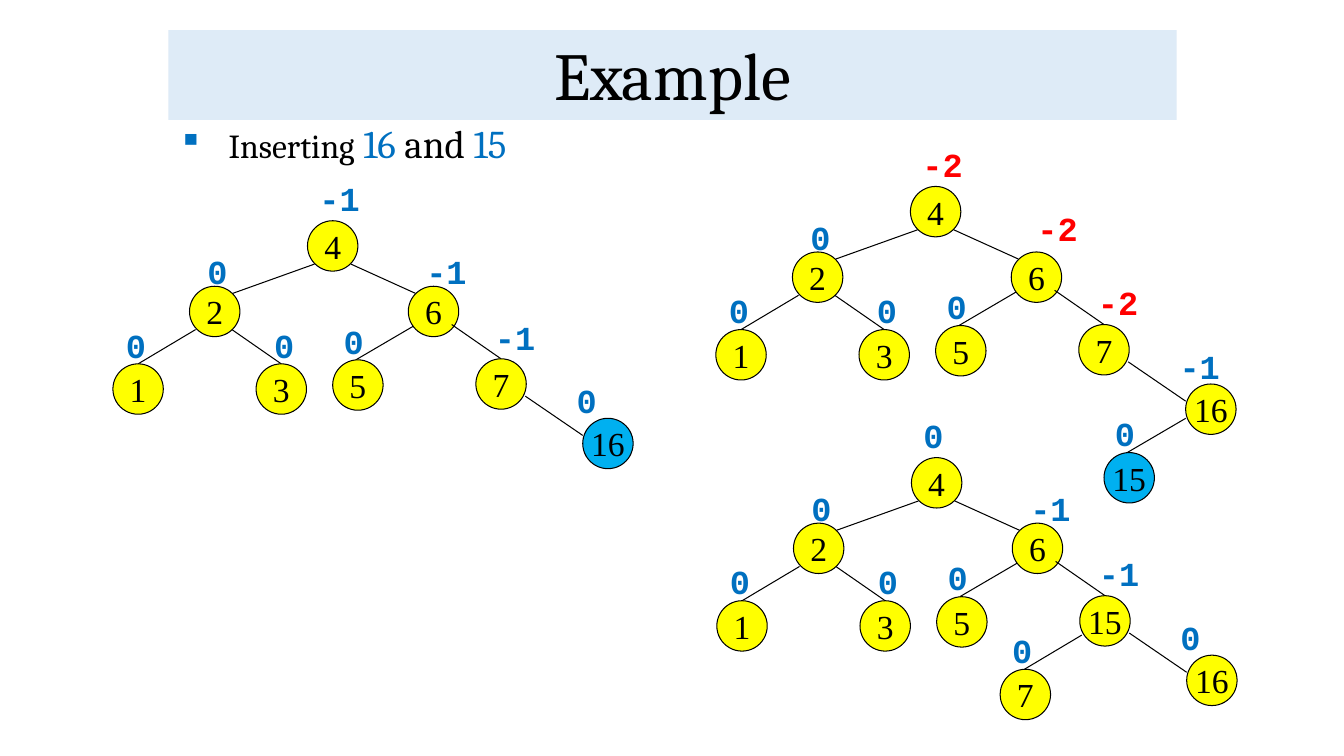
from collections import namedtuple

from lxml import etree
from pptx import Presentation
from pptx.dml.color import RGBColor
from pptx.enum import shapes, text
from pptx.oxml import ns
from pptx.util import Inches, Pt

BLACK = RGBColor(0x00, 0x00, 0x00)
YELLOW = RGBColor(0xFF, 0xFF, 0x00)
SKY = RGBColor(0x00, 0xB0, 0xF0)
BLUE = RGBColor(0x00, 0x70, 0xC0)
RED = RGBColor(0xFF, 0x00, 0x00)
PALE_BLUE = RGBColor(0xDE, 0xEB, 0xF7)

NODE_SIZE = 0.5
LABEL_HEIGHT = 0.5
LABEL_WIDTHS = {1: 0.4, 2: 0.61}

Slot = namedtuple("Slot", "node label edge")
Tree = namedtuple("Tree", "root entries")
Entry = namedtuple("Entry", "slot value balance inserted label_shift",
                   defaults=(False, (0, 0)))

# Offsets from the top left corner of each tree's root node.
SLOTS = {
    "root": Slot((0, 0), (0.02, -0.47), None),
    "left": Slot((-1.17, 0.65), (-1.09, 0.25), (0.07, 0.43, -0.74, 0.72)),
    "right": Slot((1, 0.65), (1.08, 0.25), (0.43, 0.43, 1.07, 0.72)),
    "left left": Slot((-1.93, 1.42), (-1.9, 0.98), (-1.11, 1.08, -1.68, 1.42)),
    "left right": Slot((-0.51, 1.42), (-0.43, 0.98), (-0.75, 1.08, -0.26, 1.42)),
    "right left": Slot((0.25, 1.38), (0.26, 0.94), (1.06, 1.04, 0.48, 1.38)),
    "right right": Slot((1.67, 1.37), (1.76, 0.9), (1.43, 1.03, 1.92, 1.37)),
    "outer right": Slot((2.73, 1.96), (2.57, 1.53), (2.16, 1.74, 2.73, 2.13)),
    "outer left": Slot((0.88, 2.1), (0.9, 1.66), (1.69, 1.76, 1.12, 2.1)),
    "deepest": Slot((1.92, 2.64), (1.93, 2.2), (2.73, 2.3, 2.15, 2.64)),
}

SHARED_ENTRIES = [
    Entry("left", "2", "0"),
    Entry("left left", "1", "0"),
    Entry("left right", "3", "0"),
    Entry("right left", "5", "0"),
]

TREES = [
    Tree((3.05, 2.19), [
        Entry("root", "4", "-1"),
        Entry("right", "6", "-1"),
        Entry("right right", "7", "-1"),
        Entry("outer right", "16", "0", True),
    ]),
    Tree((9.03, 1.85), [
        Entry("root", "4", "-2"),
        Entry("right", "6", "-2", label_shift=(0.08, -0.09)),
        Entry("right right", "7", "-2"),
        Entry("outer right", "16", "-1"),
        Entry("deepest", "15", "0", True),
    ]),
    Tree((9.04, 4.54), [
        Entry("root", "4", "0"),
        Entry("right", "6", "-1"),
        Entry("right right", "15", "-1"),
        Entry("outer right", "16", "0"),
        Entry("outer left", "7", "0"),
    ]),
]


def style_font(font, name, size, color, bold=False):
    font.name = name
    font.size = Pt(size)
    font.color.rgb = color
    font.bold = bold


def add_title(slide):
    shape = slide.shapes.add_shape(shapes.MSO_SHAPE.RECTANGLE, Inches(1.67),
                                   Inches(0.3), Inches(10), Inches(0.89))
    shape.shadow.inherit = False
    shape.fill.solid()
    shape.fill.fore_color.rgb = PALE_BLUE
    shape.line.fill.background()
    frame = shape.text_frame
    frame.text = "Example"
    frame.vertical_anchor = text.MSO_ANCHOR.BOTTOM
    paragraph = frame.paragraphs[0]
    paragraph.alignment = text.PP_ALIGN.CENTER
    paragraph.line_spacing = 0.9
    style_font(paragraph.runs[0].font, "Cambria", 48, BLACK)


def add_bullet(paragraph, character, color):
    properties = paragraph._p.get_or_add_pPr()
    properties.set("marL", str(Inches(0.5)))
    properties.set("indent", str(-Inches(0.5)))
    bullet_color = etree.SubElement(properties, ns.qn("a:buClr"))
    etree.SubElement(bullet_color, ns.qn("a:srgbClr")).set("val", str(color))
    etree.SubElement(properties, ns.qn("a:buChar")).set("char", character)


def add_subtitle(slide):
    box = slide.shapes.add_textbox(Inches(1.67), Inches(1.19),
                                   Inches(10), Inches(0.44))
    frame = box.text_frame
    frame.word_wrap = True
    paragraph = frame.paragraphs[0]
    add_bullet(paragraph, "▪", BLUE)
    paragraph.line_spacing = 0.9
    for words, size, color in (("Inserting", 24, BLACK), (" ", 28, BLACK),
                               ("16 ", 28, BLUE), ("and", 28, BLACK),
                               (" 15", 28, BLUE)):
        run = paragraph.add_run()
        run.text = words
        style_font(run.font, "Cambria", size, color)


def add_edge(slide, start_x, start_y, end_x, end_y):
    edge = slide.shapes.add_connector(
        shapes.MSO_CONNECTOR.STRAIGHT, Inches(start_x), Inches(start_y),
        Inches(end_x), Inches(end_y))
    edge.line.color.rgb = BLACK
    edge.line.width = Pt(0.75)
    etree.SubElement(edge._element.spPr, ns.qn("a:effectLst"))


def add_node(slide, left, top, value, color):
    shape = slide.shapes.add_shape(shapes.MSO_SHAPE.OVAL, Inches(left), Inches(top),
                                   Inches(NODE_SIZE), Inches(NODE_SIZE))
    shape.shadow.inherit = False
    shape.fill.solid()
    shape.fill.fore_color.rgb = color
    shape.line.color.rgb = BLACK
    shape.line.width = Pt(0.75)
    frame = shape.text_frame
    frame.text = value
    frame.word_wrap = False
    frame.vertical_anchor = text.MSO_ANCHOR.MIDDLE
    paragraph = frame.paragraphs[0]
    paragraph.alignment = text.PP_ALIGN.CENTER
    style_font(paragraph.runs[0].font, "Times New Roman", 24, BLACK)


def add_balance(slide, left, top, balance):
    box = slide.shapes.add_textbox(Inches(left), Inches(top),
                                   Inches(LABEL_WIDTHS[len(balance)]),
                                   Inches(LABEL_HEIGHT))
    frame = box.text_frame
    frame.text = balance
    frame.word_wrap = False
    frame.auto_size = text.MSO_AUTO_SIZE.SHAPE_TO_FIT_TEXT
    color = RED if balance == "-2" else BLUE
    style_font(frame.paragraphs[0].runs[0].font, "Courier New", 24, color, True)


def add_tree(slide, tree):
    x, y = tree.root
    for entry in SHARED_ENTRIES + tree.entries:
        slot = SLOTS[entry.slot]
        if slot.edge:
            start_x, start_y, end_x, end_y = slot.edge
            add_edge(slide, x + start_x, y + start_y, x + end_x, y + end_y)
        add_node(slide, x + slot.node[0], y + slot.node[1], entry.value,
                 SKY if entry.inserted else YELLOW)
        add_balance(slide, x + slot.label[0] + entry.label_shift[0],
                    y + slot.label[1] + entry.label_shift[1], entry.balance)


def main():
    presentation = Presentation()
    presentation.slide_width = Inches(13.33)
    presentation.slide_height = Inches(7.5)
    slide = presentation.slides.add_slide(presentation.slide_layouts[6])
    add_title(slide)
    add_subtitle(slide)
    for tree in TREES:
        add_tree(slide, tree)
    presentation.save("out.pptx")


if __name__ == "__main__":
    main()
